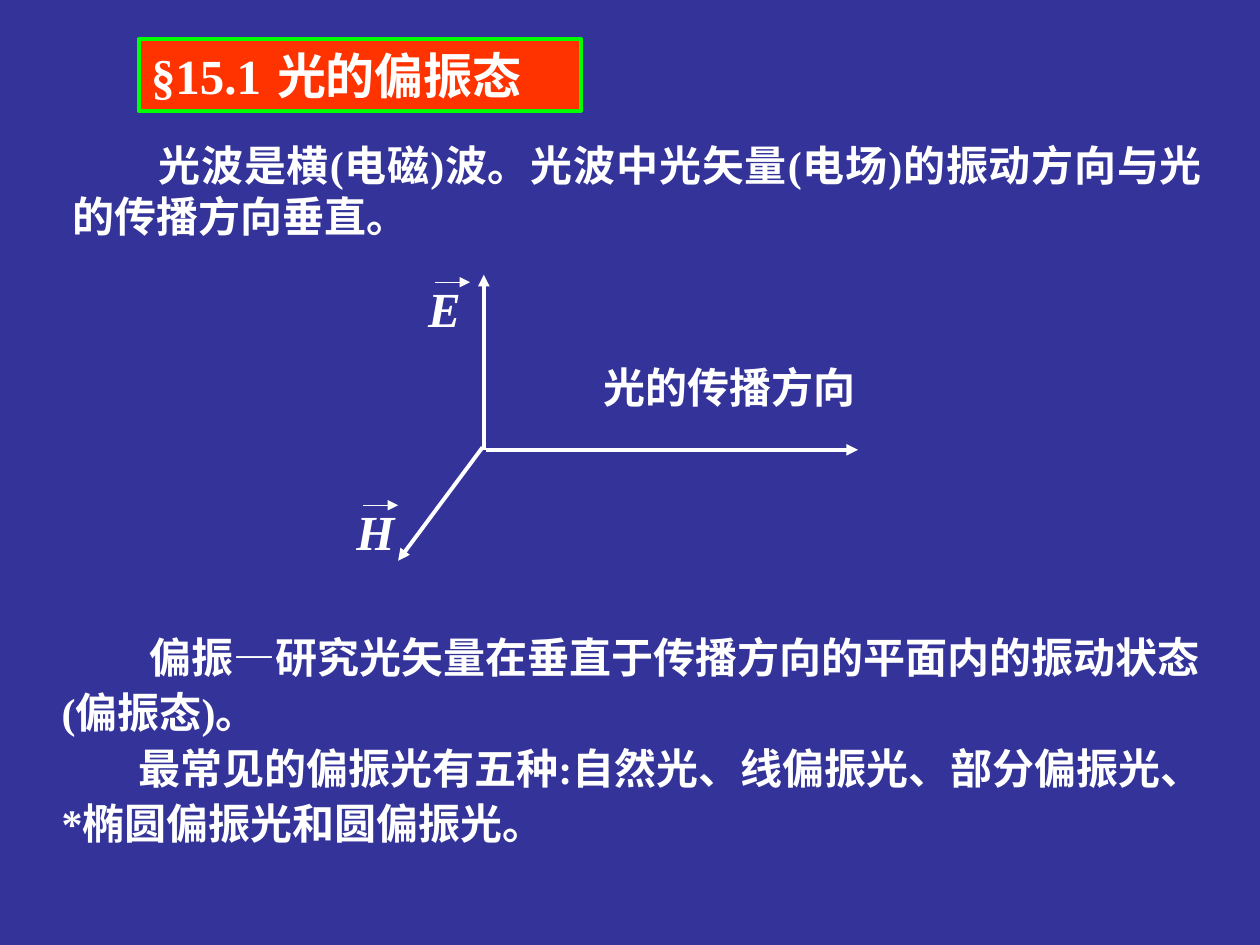
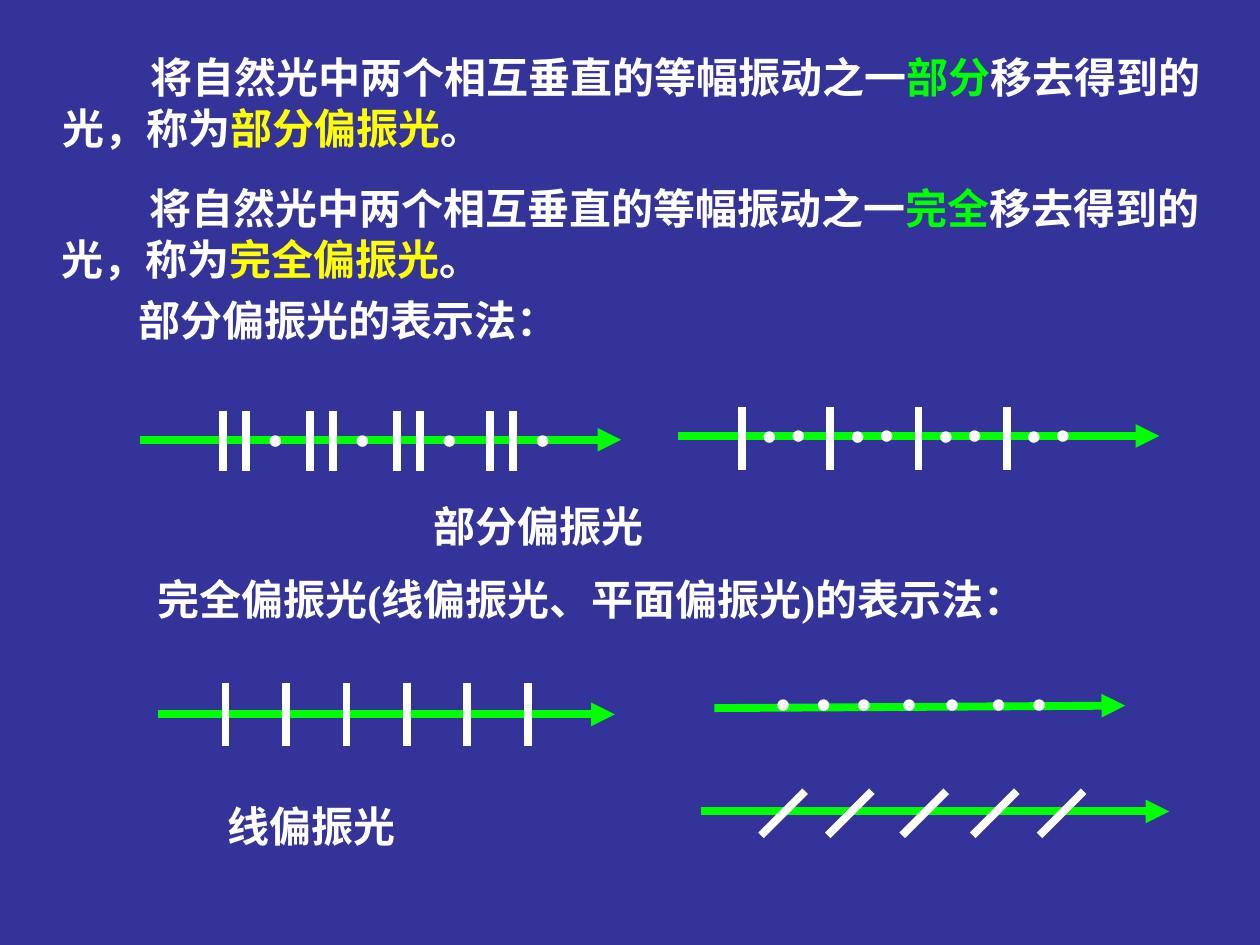
from lxml import etree
from pptx import Presentation
from pptx import util as u
from pptx.dml import color
from pptx.enum import shapes, text
from pptx.oxml import ns

HUES = {"back": "333399", "ink": "FFFFFF", "red": "FF3300",
        "green": "00FF00", "gold": "FFFF00"}
BODY = {"name": "Times New Roman", "size": u.Pt(24), "bold": True}
HEAD = {**BODY, "size": u.Pt(28)}
SYMBOL = {**HEAD, "italic": True}
BULLET = {"name": "Arial", "size": u.Pt(24)}
FRAME = {"word_wrap": True, "auto_size": text.MSO_AUTO_SIZE.NONE,
         "vertical_anchor": text.MSO_ANCHOR.TOP}


def hue(key):
    return color.RGBColor.from_string(HUES[key])


def put(item, style):
    for key, value in style.items():
        setattr(item, key, value)


def inches(*sizes):
    return [u.Inches(size) for size in sizes]


class Deck:
    def __init__(self):
        self.file = Presentation()
        self.file.slide_width, self.file.slide_height = inches(10, 7.5)
        self.slide = None

    def page(self):
        self.slide = self.file.slides.add_slide(self.file.slide_layouts[6])
        fill = self.slide.background.fill
        fill.solid()
        fill.fore_color.rgb = hue("back")

    def fill(self, frame, paras, font, pad=0.05):
        put(frame, {**FRAME, "margin_top": u.Inches(pad)})
        for i, (runs, indent, style) in enumerate(paras):
            para = frame.paragraphs[0] if i == 0 else frame.add_paragraph()
            para._p.get_or_add_pPr().set("indent", str(u.Inches(indent)))
            put(para, {"alignment": text.PP_ALIGN.LEFT, **style})
            for words, tint in runs:
                run = para.add_run()
                run.text = words
                put(run.font, font)
                run.font.color.rgb = hue(tint)

    def text(self, place, paras, font=BODY, pad=0.05):
        box = self.slide.shapes.add_textbox(*inches(*place))
        self.fill(box.text_frame, paras, font, pad)

    def label(self, place, words, font=BODY):
        self.text(place, [([(words, "ink")], 0, {})], font)

    def title(self, place, words, stop):
        box = self.slide.shapes.add_shape(shapes.MSO_SHAPE.RECTANGLE, *inches(*place))
        box.shadow.inherit = False
        box.fill.solid()
        box.fill.fore_color.rgb = hue("red")
        box.line.color.rgb = hue("green")
        box.line.width = u.Pt(2.25)
        props = box.text_frame.paragraphs[0]._p.get_or_add_pPr()
        tabs = etree.SubElement(props, ns.qn("a:tabLst"))
        etree.SubElement(tabs, ns.qn("a:tab"), pos=str(u.Inches(stop)), algn="l")
        self.fill(box.text_frame, [([(words, "ink")], 0, {})], HEAD)

    def line(self, ends, width=4.5, tint="ink", arrow=False):
        line = self.slide.shapes.add_connector(
            shapes.MSO_CONNECTOR.STRAIGHT, *inches(*ends))
        line.line.color.rgb = hue(tint)
        line.line.width = u.Pt(width)
        if arrow:
            etree.SubElement(line.line._get_or_add_ln(), ns.qn("a:tailEnd"),
                             type="triangle")
        etree.SubElement(line._element.spPr, ns.qn("a:effectLst"))

    def vector(self, left, top, letter):
        self.label((left, top, 0.56, 0.57), letter, SYMBOL)
        mark = left + 0.15
        self.line((mark, top + 0.08, mark + 0.28, top + 0.08), 0.75, arrow=True)

    def beam(self, *ends):
        self.line(ends, tint="green", arrow=True)

    def tick(self, left, top, tall=0.5):
        self.line((left, top, left, top + tall))

    def dot(self, left, top):
        self.label((left, top, 0.39, 0.5), "•", BULLET)


def removal(part, name):
    return [("将自然光中两个相互垂直的等幅振动之一", "ink"), (part, "green"),
            ("移去得到的光，称为", "ink"), (name, "gold"), ("。", "ink")]


def states(deck):
    deck.page()
    deck.title((1.1, 0.31, 3.51, 0.57), "§15.1\t光的偏振态", 1.15)
    wave = "光波是横(电磁)波。光波中光矢量(电场)的振动方向与光的传播方向垂直。"
    deck.text((0.48, 1.01, 9.16, 0.97),
              [([(wave, "ink")], 0.68, {"alignment": text.PP_ALIGN.JUSTIFY})], pad=0.1)
    study = "偏振—研究光矢量在垂直于传播方向的平面内的振动状态(偏振态)。"
    kinds = "最常见的偏振光有五种:自然光、线偏振光、部分偏振光、*椭圆偏振光和圆偏振光。"
    loose = {"line_spacing": 1.1}
    deck.text((0.39, 4.87, 9.32, 1.94),
              [([(study, "ink")], 0.7, loose), ([(kinds, "ink")], 0.61, loose)], pad=0.1)
    for axis in ((3.86, 3.57, 6.81, 3.57), (3.84, 3.57, 3.84, 2.18),
                 (3.83, 3.55, 3.16, 4.45)):
        deck.line(axis, 2.25, arrow=True)
    deck.vector(3.3, 2.16, "E")
    deck.vector(2.73, 3.93, "H")
    deck.label((4.69, 2.82, 2.82, 0.5), "光的传播方向")


def partial(deck):
    deck.beam(1.11, 3.49, 4.93, 3.49)
    for left in (1.77, 2.46, 3.15, 3.89):
        deck.tick(left, 3.26, 0.48)
        deck.tick(left + 0.18, 3.26, 0.48)
        deck.dot(left + 0.26, 3.23)
    deck.beam(5.38, 3.46, 9.2, 3.46)
    for i in range(4):
        left = 5.89 + 0.7 * i
        deck.tick(left, 3.23)
        deck.dot(left + 0.06, 3.2)
        deck.dot(left + 0.29, 3.19)
    deck.text((3.16, 3.87, 3.84, 0.57), [([("部分偏振光", "ink")], 0.18, {})], pad=0.1)


def linear(deck):
    deck.beam(1.25, 5.67, 4.88, 5.67)
    for i in range(6):
        deck.tick(1.79 + 0.48 * i, 5.42)
    deck.beam(5.67, 5.62, 8.93, 5.6)
    for left in (6.06, 6.38, 6.7, 7.06, 7.4, 7.77, 8.09):
        deck.dot(left, 5.33)
    deck.beam(5.56, 6.44, 9.28, 6.44)
    for left in (6.04, 6.57, 7.16, 7.72, 8.25):
        deck.line((left + 0.35, 6.28, left, 6.63))
    deck.text((1.53, 6.25, 3.43, 0.57), [([("线偏振光", "ink")], 0.18, {})], pad=0.1)


def signs(deck):
    deck.page()
    deck.text((0.4, 0.31, 9.24, 0.97),
              [(removal("部分", "部分偏振光"), 0.7, {})], pad=0.1)
    deck.text((0.39, 1.35, 9.36, 1.45),
              [(removal("完全", "完全偏振光"), 0.7, {}),
               ([("部分偏振光的表示法：", "ink")], 0.61, {"space_before": u.Pt(6)})],
              pad=0.1)
    partial(deck)
    deck.label((1.15, 4.5, 8.52, 0.5), "完全偏振光(线偏振光、平面偏振光)的表示法：")
    linear(deck)


def main():
    deck = Deck()
    states(deck)
    signs(deck)
    deck.file.save("out.pptx")


if __name__ == "__main__":
    main()
